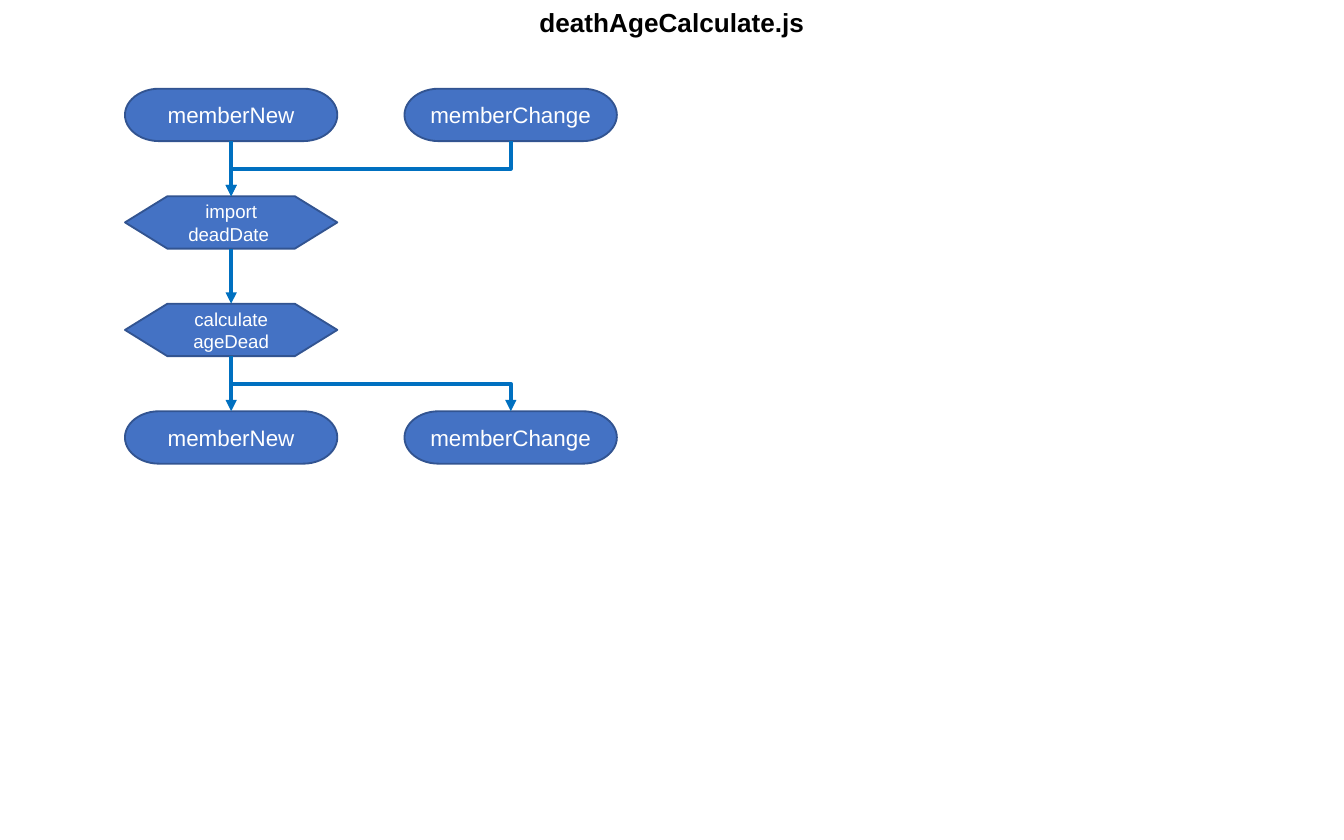
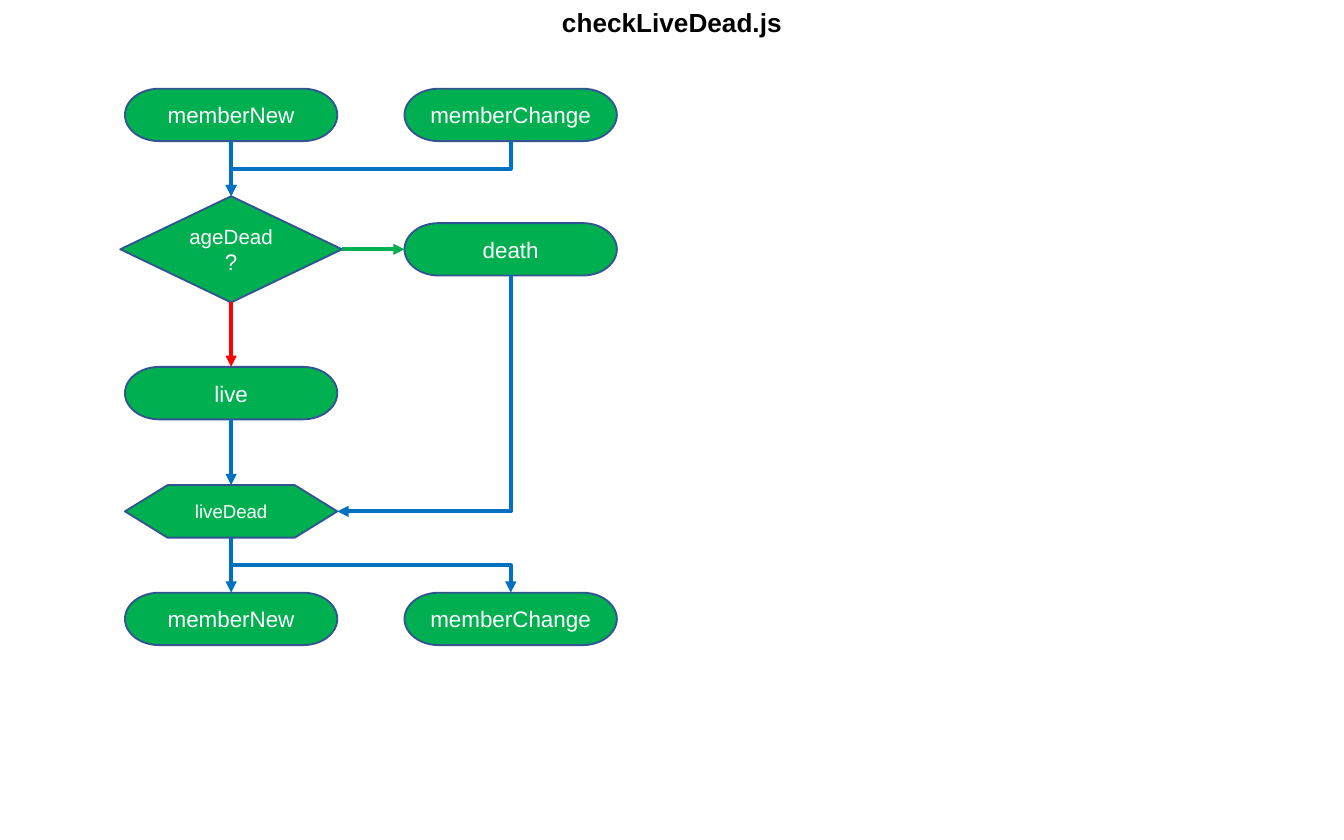
from dataclasses import dataclass

from lxml import etree
from pptx import Presentation
from pptx.dml.color import RGBColor
from pptx.enum.shapes import MSO_CONNECTOR, MSO_SHAPE
from pptx.enum.text import MSO_ANCHOR, MSO_AUTO_SIZE, PP_ALIGN
from pptx.oxml.ns import qn
from pptx.util import Inches, Pt

TERMINATOR = MSO_SHAPE.FLOWCHART_TERMINATOR
PREPARATION = MSO_SHAPE.FLOWCHART_PREPARATION
DECISION = MSO_SHAPE.FLOWCHART_DECISION
STRAIGHT = MSO_CONNECTOR.STRAIGHT
ELBOW = MSO_CONNECTOR.ELBOW
CENTER = PP_ALIGN.CENTER
MIDDLE = MSO_ANCHOR.MIDDLE
FIT_SHAPE = MSO_AUTO_SIZE.SHAPE_TO_FIT_TEXT
TOP, LEFT, BOTTOM, RIGHT = range(4)


@dataclass(frozen=True)
class Theme:
    font: str = "Arial"
    black: str = "000000"
    white: str = "FFFFFF"
    blue: str = "4472C4"
    green: str = "00B050"
    red: str = "FF0000"
    outline: str = "325491"
    flow: str = "0070C0"
    title_size: int = 14
    terminator_size: int = 12
    preparation_size: int = 10
    decision_size: int = 11
    outline_width: int = 1
    flow_width: int = 2


THEME = Theme()
SLIDE_WIDTH, SLIDE_HEIGHT = 10, 6.25
COLUMNS = (1.72, 3.8)
FIRST_ROW, ROW_PITCH = 0.66, 0.8
NODE_WIDTH, NODE_HEIGHT = 1.58, 0.39
DECISION_WIDTH, DECISION_HEIGHT = 1.65, 0.79
NODE_STYLES = {
    TERMINATOR: (NODE_WIDTH, NODE_HEIGHT, THEME.terminator_size),
    PREPARATION: (NODE_WIDTH, NODE_HEIGHT, THEME.preparation_size),
    DECISION: (DECISION_WIDTH, DECISION_HEIGHT, THEME.decision_size),
}


class FlowDeck:
    """Draw titled flowcharts in one shared style."""

    def __init__(self, theme):
        self.theme = theme
        self.deck = Presentation()
        self.deck.slide_width = Inches(SLIDE_WIDTH)
        self.deck.slide_height = Inches(SLIDE_HEIGHT)
        self.page = None
        self.fill = theme.blue

    def start_page(self, title, fill):
        self.page = self.deck.slides.add_slide(self.deck.slide_layouts[6])
        self.fill = fill
        box = self.page.shapes.add_textbox(0, 0, Inches(SLIDE_WIDTH), Inches(0.34))
        box.text_frame.word_wrap = True
        box.text_frame.auto_size = FIT_SHAPE
        self.label(box, title, self.theme.title_size, self.theme.black, True)

    def style_span(self, span, size, color, bold=False):
        span.font.name = self.theme.font
        span.font.size = Pt(size)
        span.font.bold = bold
        span.font.color.rgb = RGBColor.from_string(color)

    def label(self, box, text, size, color, bold=False):
        box.text_frame.text = text
        for para in box.text_frame.paragraphs:
            para.alignment = CENTER
            for span in para.runs:
                self.style_span(span, size, color, bold)

    def node(self, kind, column, top, text):
        width, height, size = NODE_STYLES[kind]
        box = self.page.shapes.add_shape(
            kind, Inches(COLUMNS[column] - width / 2), Inches(top),
            Inches(width), Inches(height))
        box.shadow.inherit = False
        box.fill.solid()
        box.fill.fore_color.rgb = RGBColor.from_string(self.fill)
        box.line.color.rgb = RGBColor.from_string(self.theme.outline)
        box.line.width = Pt(self.theme.outline_width)
        box.text_frame.word_wrap = True
        box.text_frame.vertical_anchor = MIDDLE
        self.label(box, text, size, self.theme.white)
        return box

    def member_pair(self, top):
        return [self.node(TERMINATOR, column, top, name)
                for column, name in enumerate(("memberNew", "memberChange"))]

    def arrow(self, source, target, leave=BOTTOM, enter=TOP, color=None, kind=STRAIGHT):
        arrow = self.page.shapes.add_connector(kind, 0, 0, 0, 0)
        arrow.begin_connect(source, leave)
        arrow.end_connect(target, enter)
        arrow.line.color.rgb = RGBColor.from_string(color or self.theme.flow)
        arrow.line.width = Pt(self.theme.flow_width)
        properties = arrow.element.spPr
        etree.SubElement(properties.find(qn("a:ln")), qn("a:tailEnd"), type="triangle")
        etree.SubElement(properties, qn("a:effectLst"))
        return arrow

    def elbow(self, source, target, enter=TOP):
        arrow = self.arrow(source, target, enter=enter, kind=ELBOW)
        rightward = arrow.end_x > arrow.begin_x
        left, top, width, height = arrow.left, arrow.top, arrow.width, arrow.height
        arrow.left = left + (width - height) // 2
        arrow.top = top + (height - width) // 2
        arrow.width, arrow.height = height, width
        arrow.element.flipH = rightward
        arrow.element.flipV = False
        properties = arrow.element.spPr
        properties.find(qn("a:xfrm")).set("rot", str((270 if rightward else 90) * 60000))
        if enter != TOP:
            properties.find(qn("a:prstGeom")).set("prst", "bentConnector2")

    def merge(self, pair, target):
        self.arrow(pair[0], target)
        self.elbow(pair[1], target)

    def split(self, source, pair):
        self.arrow(source, pair[0])
        self.elbow(source, pair[1])


def draw_death_age(flow):
    flow.start_page("deathAgeCalculate.js", flow.theme.blue)
    rows = [FIRST_ROW + ROW_PITCH * index for index in range(4)]
    inputs = flow.member_pair(rows[0])
    import_step = flow.node(PREPARATION, 0, rows[1], "import\ndeadDate ")
    calculate_step = flow.node(PREPARATION, 0, rows[2], "calculate ageDead")
    outputs = flow.member_pair(rows[3])
    flow.merge(inputs, import_step)
    flow.arrow(import_step, calculate_step)
    flow.split(calculate_step, outputs)


def draw_live_dead(flow):
    theme = flow.theme
    flow.start_page("checkLiveDead.js", theme.green)
    decision_top = FIRST_ROW + ROW_PITCH
    result_top = 3.61
    inputs = flow.member_pair(FIRST_ROW)
    decision = flow.node(DECISION, 0, decision_top, "ageDead ")
    question = decision.text_frame.paragraphs[0].add_run()
    question.text = "?"
    flow.style_span(question, theme.terminator_size, theme.white)
    death_top = decision_top + (DECISION_HEIGHT - NODE_HEIGHT) / 2
    death = flow.node(TERMINATOR, 1, death_top, "death")
    live = flow.node(TERMINATOR, 0, 2.73, "live")
    result = flow.node(PREPARATION, 0, result_top, "liveDead")
    outputs = flow.member_pair(result_top + ROW_PITCH)
    flow.merge(inputs, decision)
    flow.arrow(decision, live, color=theme.red)
    flow.arrow(decision, death, RIGHT, LEFT, theme.green)
    flow.elbow(death, result, RIGHT)
    flow.arrow(live, result)
    flow.split(result, outputs)


def main():
    flow = FlowDeck(THEME)
    draw_death_age(flow)
    draw_live_dead(flow)
    flow.deck.save("out.pptx")


if __name__ == "__main__":
    main()
